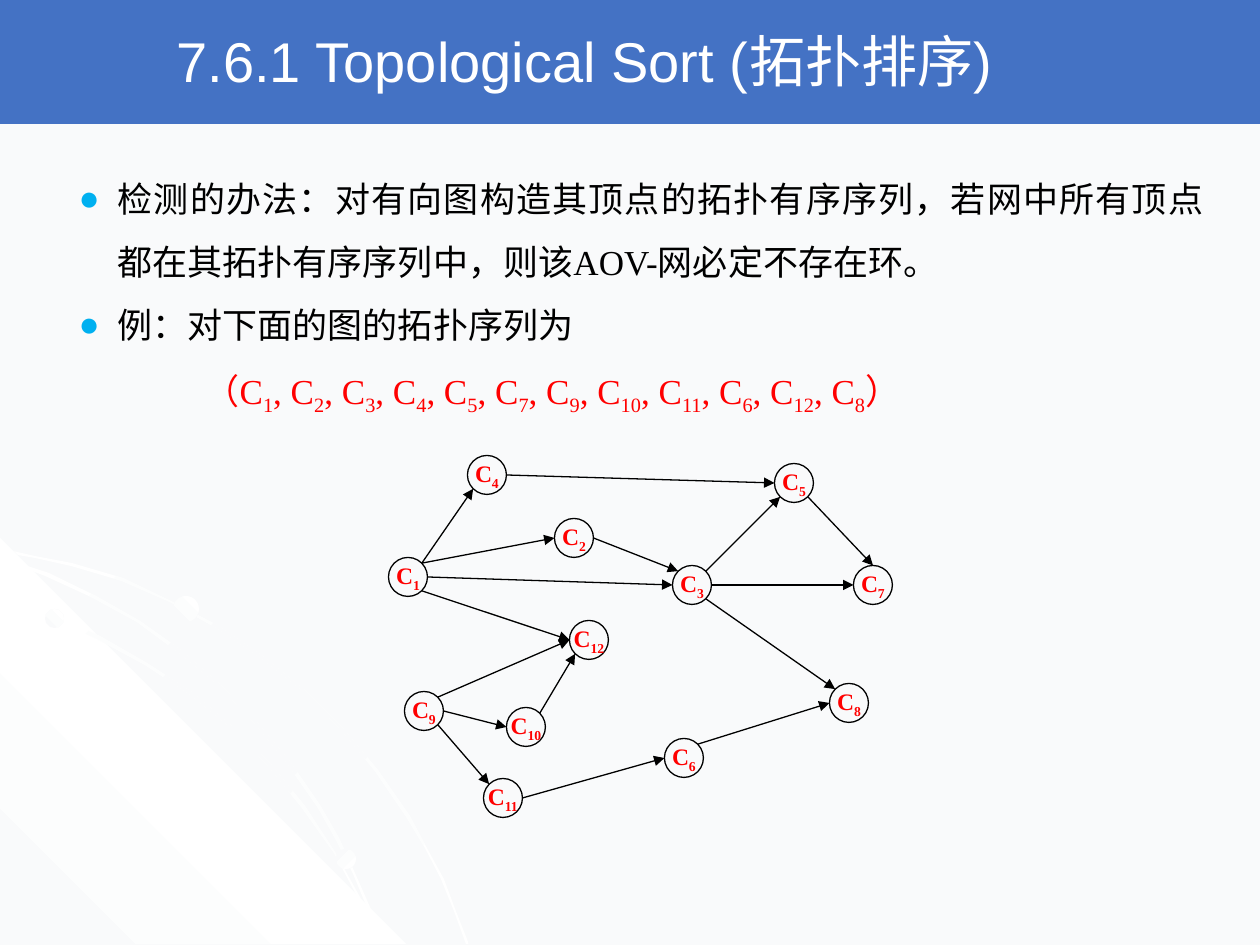
from lxml.etree import SubElement
from pptx import Presentation
from pptx.dml.color import RGBColor
from pptx.enum.shapes import MSO_CONNECTOR, MSO_SHAPE
from pptx.enum.text import MSO_ANCHOR, MSO_AUTO_SIZE, PP_ALIGN
from pptx.oxml.ns import qn
from pptx.util import Pt

PX = 914400 / 126
WHITE = RGBColor(0xFF, 0xFF, 0xFF)
PALE = RGBColor(0xF9, 0xFA, 0xFB)
BLUE = RGBColor(0x44, 0x72, 0xC4)
CYAN = RGBColor(0x00, 0xB0, 0xF0)
BLACK = RGBColor(0x00, 0x00, 0x00)
RED = RGBColor(0xFF, 0x00, 0x00)

TITLE_FONT = {"name": "Arial", "size": Pt(32), "bold": False}
BODY_FONT = {"name": "Times New Roman", "size": Pt(20), "bold": False}
NODE_FONT = {"name": "Times New Roman", "size": Pt(13.5), "bold": True}


def px(*lengths):
    return [round(length * PX) for length in lengths]


def add_span(para, text, font, color, baseline=0):
    span = para.add_run()
    span.text = text
    for name, value in font.items():
        setattr(span.font, name, value)
    span.font.color.rgb = color
    if baseline:
        span._r.get_or_add_rPr().set("baseline", str(baseline))


deck = Presentation()
deck.slide_width, deck.slide_height = px(1260, 945)
page = deck.slides.add_slide(deck.slide_layouts[1])
page.background.fill.solid()
page.background.fill.fore_color.rgb = PALE

LONG_ARC = [
    (72, 563), (35, 556), (0, 548), (0, 552), (35, 558), (71, 566), (122, 581), (170, 602),
    (218, 629), (262, 659), (304, 692), (341, 730), (375, 771), (407, 818), (425, 848),
    (441, 879), (454, 911), (466, 944), (469, 944), (456, 911), (444, 879), (427, 848),
    (410, 816), (378, 770), (343, 728), (305, 690), (263, 656), (219, 626), (171, 601), (123, 578),
]
CORNER = [(406, 944), (0, 944), (0, 538)]
LOW_ARC = [
    (359, 900), (370, 922), (379, 944), (382, 944), (373, 920), (360, 897), (335, 852),
    (305, 806), (271, 764), (232, 726), (192, 692), (147, 663), (100, 636), (52, 615),
    (0, 598), (0, 601), (49, 617), (97, 639), (145, 665), (189, 694), (231, 728),
    (268, 766), (302, 808), (334, 853),
]
HIGH_ARC = [
    (0, 557), (0, 559), (45, 576), (93, 598), (137, 622), (179, 653), (218, 685), (255, 724),
    (286, 762), (318, 808), (336, 840), (353, 874), (368, 910), (379, 944), (382, 944),
    (370, 907), (355, 873), (339, 838), (320, 805), (289, 760), (257, 722), (220, 684),
    (181, 650), (140, 621), (96, 596), (49, 573),
]
decoration = page.shapes.add_group_shape()
gradients = []
for points, colors, angle in [
    (LONG_ARC, (WHITE, PALE, WHITE), 45),
    (CORNER, (PALE, WHITE, PALE), 315),
    (LOW_ARC, (WHITE, PALE, WHITE), 45),
    (HIGH_ARC, (WHITE, PALE, WHITE), 45),
]:
    builder = decoration.shapes.build_freeform(*points[0], scale=PX)
    builder.add_line_segments(points[1:], close=True)
    gradients.append((builder.convert_to_shape(), colors, angle))
for left, top, size, angle in [(45, 609, 19, 315), (336, 849, 20, 45), (173, 596, 26, 315)]:
    dot = decoration.shapes.add_shape(MSO_SHAPE.OVAL, *px(left, top, size, size))
    gradients.append((dot, (PALE, WHITE), angle))
for shape, colors, angle in gradients:
    shape.shadow.inherit = False
    shape.line.fill.background()
    shape.fill.gradient()
    shape.fill.gradient_angle = 360 - angle
    stops = shape.element.spPr.find(".//" + qn("a:gsLst"))
    for stop in list(stops):
        stops.remove(stop)
    for index, color in enumerate(colors):
        position = 100000 * index // (len(colors) - 1)
        stop = SubElement(stops, qn("a:gs"), pos=str(position))
        SubElement(stop, qn("a:srgbClr"), val=str(color))

banner = page.shapes.add_shape(MSO_SHAPE.RECTANGLE, *px(0, 0, 1260, 122))
banner.shadow.inherit = False
banner.fill.solid()
banner.fill.fore_color.rgb = BLUE
banner.line.color.rgb = BLUE
banner.line.width = Pt(2)

title, body = page.placeholders
for box, bounds, anchor in [
    (title, (164, 4, 1033, 113), MSO_ANCHOR.MIDDLE),
    (body, (66, 150, 1150, 262), MSO_ANCHOR.TOP),
]:
    page.shapes.element.append(box.element)
    box.left, box.top, box.width, box.height = px(*bounds)
    box.text_frame.word_wrap = True
    box.text_frame.auto_size = MSO_AUTO_SIZE.NONE
    box.text_frame.vertical_anchor = anchor

para = title.text_frame.paragraphs[0]
para.alignment = PP_ALIGN.LEFT
add_span(para, "7.6.1 Topological Sort (拓扑排序)", TITLE_FONT, WHITE)

bullets = [
    "检测的办法：对有向图构造其顶点的拓扑有序序列，若网中所有顶点都在其拓扑有序序列中，则该AOV-网必定不存在环。",
    "例：对下面的图的拓扑序列为",
]
for index, text in enumerate(bullets + [None]):
    para = body.text_frame.paragraphs[0] if index == 0 else body.text_frame.add_paragraph()
    settings = para._p.get_or_add_pPr()
    hanging, first = px(39, -39) if text else px(126, 0)
    settings.set("marL", str(hanging))
    settings.set("indent", str(first))
    if text:
        bullet_color = SubElement(settings, qn("a:buClr"))
        SubElement(bullet_color, qn("a:srgbClr"), val=str(CYAN))
        SubElement(settings, qn("a:buChar"), char="●")
        add_span(para, text, BODY_FONT, BLACK)
    else:
        SubElement(settings, qn("a:buNone"))
    para.alignment = PP_ALIGN.JUSTIFY if text else PP_ALIGN.LEFT
    para.line_spacing = 1.5
    para.space_before = Pt(0)

for index, number in enumerate([1, 2, 3, 4, 5, 7, 9, 10, 11, 6, 12, 8]):
    add_span(para, ", C" if index else "（C", BODY_FONT, RED)
    add_span(para, str(number), BODY_FONT, RED, -25000)
add_span(para, "）", BODY_FONT, RED)

DIAMETER = 39
RADIUS = DIAMETER / 2
DIAGONAL = RADIUS * 0.71
SITES = {
    "N": (0, -RADIUS), "E": (RADIUS, 0), "W": (-RADIUS, 0),
    "NE": (DIAGONAL, -DIAGONAL), "NW": (-DIAGONAL, -DIAGONAL),
    "SE": (DIAGONAL, DIAGONAL), "SW": (-DIAGONAL, DIAGONAL),
}
CENTERS = {
    4: (487, 475), 5: (794, 483), 1: (408, 577), 2: (574, 538), 3: (692, 585), 7: (873, 585),
    12: (589, 640), 9: (424, 711), 10: (526, 727), 11: (503, 798), 6: (684, 758), 8: (849, 703),
}
EDGES = [
    (1, "NE", 4, "SW"), (1, "NE", 2, "W"), (1, "E", 3, "W"), (1, "SE", 12, "W"),
    (4, "E", 5, "W"), (3, "E", 7, "W"), (3, "NE", 5, "SW"), (5, "SE", 7, "N"),
    (3, "SE", 8, "NW"), (9, "NE", 12, "W"), (9, "E", 10, "W"), (10, "NE", 12, "SW"),
    (9, "SE", 11, "NW"), (2, "E", 3, "NW"), (11, "E", 6, "W"), (6, "NE", 8, "W"),
]
graph = page.shapes.add_group_shape()
for number, (x, y) in CENTERS.items():
    node = graph.shapes.add_shape(
        MSO_SHAPE.OVAL, *px(x - RADIUS, y - RADIUS, DIAMETER, DIAMETER)
    )
    node.shadow.inherit = False
    node.fill.background()
    node.line.color.rgb = BLACK
    node.line.width = Pt(0.75)
    frame = node.text_frame
    frame.word_wrap = False
    frame.vertical_anchor = MSO_ANCHOR.MIDDLE
    for side in ("left", "top", "right", "bottom"):
        setattr(frame, f"margin_{side}", 0)
    para = frame.paragraphs[0]
    para.alignment = PP_ALIGN.CENTER
    add_span(para, "C", NODE_FONT, RED)
    add_span(para, str(number), NODE_FONT, RED, -25000)

for source, exit_site, target, entry_site in EDGES:
    ends = []
    for number, site in ((source, exit_site), (target, entry_site)):
        ends += [center + offset for center, offset in zip(CENTERS[number], SITES[site])]
    arrow = graph.shapes.add_connector(MSO_CONNECTOR.STRAIGHT, *px(*ends))
    arrow.line.color.rgb = BLACK
    arrow.line.width = Pt(0.75)
    properties = arrow.element.spPr
    SubElement(properties.find(qn("a:ln")), qn("a:tailEnd"), type="triangle")
    SubElement(properties, qn("a:effectLst"))

deck.save("out.pptx")
